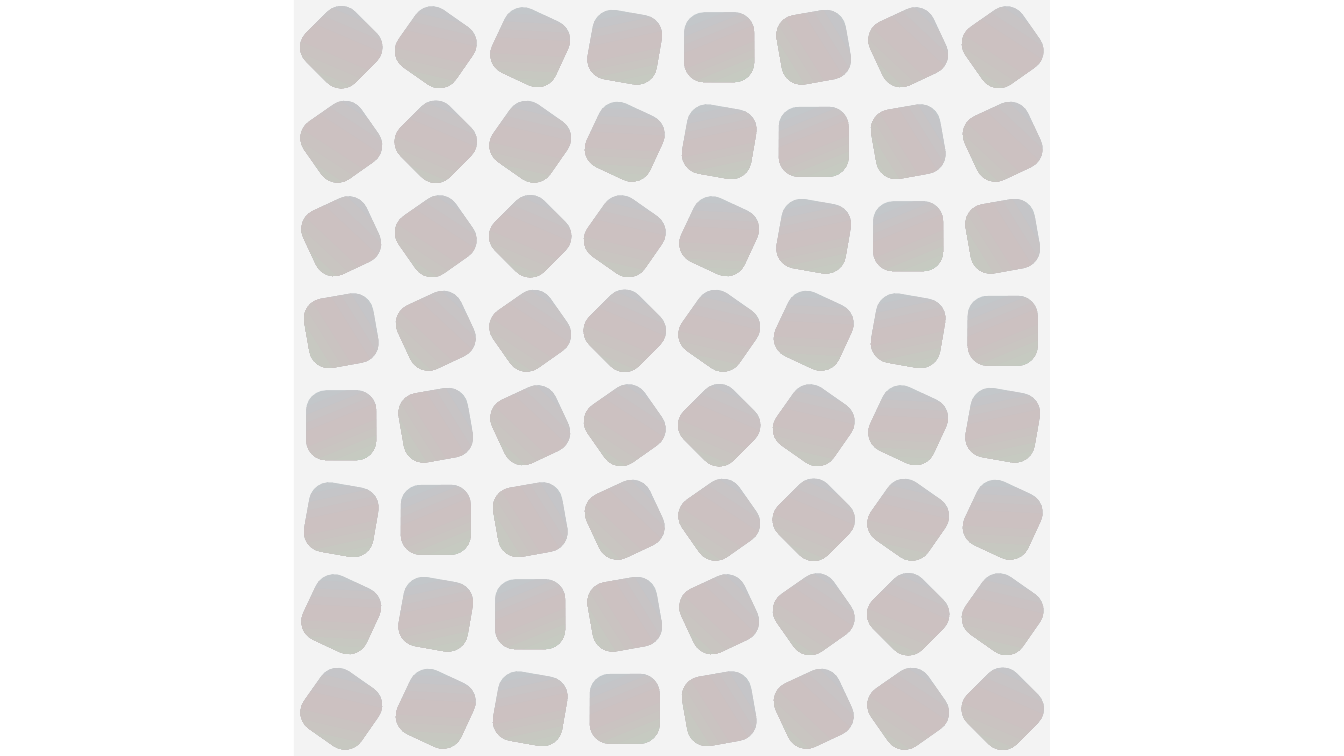
from copy import deepcopy

from pptx import Presentation
from pptx.dml.color import RGBColor
from pptx.enum.shapes import MSO_SHAPE
from pptx.oxml.ns import qn
from pptx.util import Cm

RECT = MSO_SHAPE.RECTANGLE
ROUND = MSO_SHAPE.ROUNDED_RECTANGLE

WIDTH, SIDE = 33.87, 19.05
LEFT = (WIDTH - SIDE) / 2
COUNT = 8
PITCH = SIDE / COUNT
TILE = 1.76
GAP = (PITCH - TILE) / 2
TURNS = (45, 55, 65, 80, 0, 10, 25, 35)
STOPS = ((0, "C1C8CC"), (0.5, "CCC1C1"), (0.99, "C4CCC1"))
SLOPE = 360 - 68


def paint(color, value):
    color.rgb = RGBColor.from_string(value)


def add_square(shapes, kind, left, top, size):
    shape = shapes.add_shape(kind, Cm(left), Cm(top), Cm(size), Cm(size))
    shape.shadow.inherit = False
    shape.line.fill.background()
    return shape


def add_board(slide):
    board = add_square(slide.shapes, RECT, LEFT, 0, SIDE)
    board.fill.solid()
    paint(board.fill.fore_color, "F3F3F3")


def shade(shape):
    fill = shape.fill
    fill.gradient()
    fill.gradient_angle = SLOPE
    stops = shape._element.spPr.find(".//" + qn("a:gsLst"))
    stops.append(deepcopy(stops[-1]))
    for stop, (place, value) in zip(fill.gradient_stops, STOPS):
        stop.position = place
        paint(stop.color, value)


def add_tile(group, row, col):
    left = LEFT + col * PITCH + GAP
    top = row * PITCH + GAP
    tile = add_square(group.shapes, ROUND, left, top, TILE)
    tile.adjustments[0] = 0.285
    tile.rotation = TURNS[(row - col) % COUNT]
    shade(tile)


def main():
    """Build a board of rounded tiles that turn step by step along its diagonals."""
    deck = Presentation()
    deck.slide_width, deck.slide_height = Cm(WIDTH), Cm(SIDE)
    slide = deck.slides.add_slide(deck.slide_layouts[6])
    add_board(slide)
    group = slide.shapes.add_group_shape()
    for row in range(COUNT):
        for col in range(COUNT):
            add_tile(group, row, col)
    deck.save("out.pptx")


if __name__ == "__main__":
    main()
